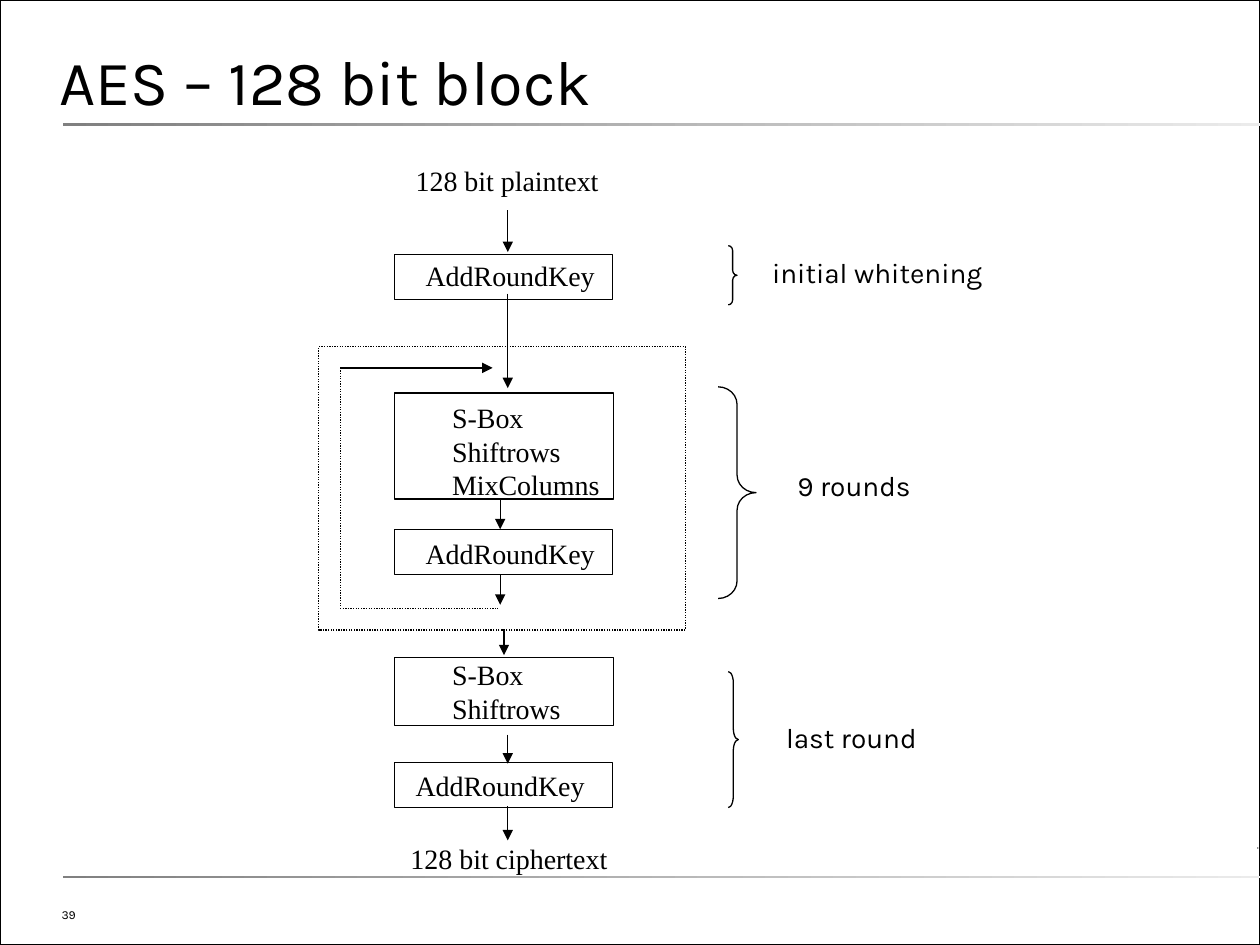
from pptx import Presentation
from pptx import util as u
from pptx.dml.color import RGBColor
from pptx.enum import dml, shapes, text
from pptx.oxml import parse_xml
from pptx.oxml.ns import nsdecls, qn
from lxml import etree


class Theme:
    ink = RGBColor(0, 0, 0)
    gray = RGBColor(0x80, 0x80, 0x80)
    pale = RGBColor(0xEB, 0xEB, 0xEB)
    sans, serif = "Karla", "Times New Roman"
    title, body, small = 36, 16, 7
    thin, edge = 0.74, 0.99


def inch(*nums):
    return [u.Inches(n) for n in nums]


# Basic parts
def stroke(line, width=Theme.thin, dots=False):
    line.color.rgb = Theme.ink
    line.width = u.Pt(width)
    if dots:
        line.dash_style = dml.MSO_LINE.ROUND_DOT


def outline(slide, box, kind=shapes.MSO_SHAPE.RECTANGLE, width=Theme.thin, dots=False):
    part = slide.shapes.add_shape(kind, *inch(*box))
    part.shadow.inherit = False
    part.fill.background()
    stroke(part.line, width, dots)
    return part


def fade(slide, box):
    bar = outline(slide, box)
    bar.line.fill.background()
    bar.fill.gradient()
    bar.fill.gradient_angle = 0
    for stop, color in zip(bar.fill.gradient_stops, (Theme.gray, Theme.pale)):
        stop.color.rgb = color


def link(slide, start, end, arrow=True, dots=False):
    line = slide.shapes.add_connector(
        shapes.MSO_CONNECTOR.STRAIGHT, *inch(*start, *end))
    stroke(line.line, dots=dots)
    if arrow:
        line.line._get_or_add_ln().append(
            parse_xml('<a:tailEnd %s type="triangle"/>' % nsdecls("a")))
    etree.SubElement(line._element.spPr, qn("a:effectLst"))


def label(slide, box, lines, font=Theme.serif, size=Theme.body, wrap=False,
          anchor=text.MSO_ANCHOR.TOP, inset=(0.1, 0.05), pitch=None):
    frame = slide.shapes.add_textbox(*inch(*box)).text_frame
    frame.word_wrap = wrap
    frame.auto_size = (text.MSO_AUTO_SIZE.NONE if wrap
                       else text.MSO_AUTO_SIZE.SHAPE_TO_FIT_TEXT)
    frame.vertical_anchor = anchor
    frame.margin_left = frame.margin_right = u.Inches(inset[0])
    frame.margin_top = frame.margin_bottom = u.Inches(inset[1])
    for i, words in enumerate(lines):
        para = frame.add_paragraph() if i else frame.paragraphs[0]
        if pitch:
            para.line_spacing = u.Pt(pitch)
        run = para.add_run()
        run.text = words
        run.font.name, run.font.size = font, u.Pt(size)
        run.font.color.rgb = Theme.ink


# Page border, rules, title and number
def page(slide, box, title, number):
    x, y, w, h = box
    outline(slide, box, width=Theme.edge)
    fade(slide, (x + w - 0.02, y + 6.72, 0.01, 0.02))
    for top in (0.98, 6.95):
        fade(slide, (x + 0.5, y + top, w - 0.47, 0.02))
    label(slide, (x + 0.39, y + 7.14, 3.49, 0.23), [number], Theme.sans,
          Theme.small, True, text.MSO_ANCHOR.BOTTOM)
    label(slide, (x + 0.47, y + 0.34, 9.03, 0.83), [title], Theme.sans,
          Theme.title, True, text.MSO_ANCHOR.MIDDLE, (0, 0), 26)


# One cipher step: a frame with its text at an offset
def step(slide, box, lines, dx, dy, wide):
    x, y = box[:2]
    outline(slide, box)
    label(slide, (x + dx, y + dy, wide, 0.1 + 0.27 * len(lines)), lines)


# Column of steps with plaintext above and ciphertext below
def flow(slide, box):
    x, y, w, h = box
    label(slide, (x + 0.07, y, 1.65, 0.37), ["128 bit plaintext"])
    label(slide, (x + 0.03, y + h - 0.37, 1.8, 0.37), ["128 bit ciphertext"])
    key = ["AddRoundKey"]
    sub = ["S-Box", "Shiftrows"]
    steps = [
        (0.77, w - 0.01, 0.36, key, 0.15, -0.02, 1.54),
        (1.87, w, 0.84, sub + ["MixColumns"], 0.36, 0.01, 1.37),
        (2.95, w - 0.01, 0.36, key, 0.15, 0.01, 1.54),
        (3.97, w, 0.54, sub, 0.36, -0.05, 1.06),
        (4.8, w - 0.01, 0.36, key, 0.07, 0, 1.54),
    ]
    for top, wide, tall, *rest in steps:
        step(slide, (x, y + top, wide, tall), *rest)
    arrows = [(0.9, 0.42, 0.75), (0.9, 1.08, 1.83), (0.84, 2.71, 2.95),
              (0.84, 3.31, 3.55), (0.87, 3.75, 3.95), (0.9, 4.58, 4.81),
              (0.9, 5.15, 5.42)]
    for dx, top, low in arrows:
        link(slide, (x + dx, y + top), (x + dx, y + low))


# Dotted frame with the path back to the start of a round
def loop(slide, box):
    x, y, w, h = box
    outline(slide, box, dots=True)
    left, top, low = x + 0.17, y + 0.17, y + h - 0.17
    link(slide, (left, top), (x + 1.38, top))
    link(slide, (left, top), (left, low), False, True)
    link(slide, (left, low), (x + 1.42, low), False, True)


# Brace with its note
def note(slide, box, words, dx, dy, wide):
    x, y, w, h = box
    brace = outline(slide, box, shapes.MSO_SHAPE.RIGHT_BRACE)
    brace.adjustments[0] = h / 12 / w
    label(slide, (x + dx, y + dy, wide, 0.37), [words], Theme.sans)


def main():
    deck = Presentation()
    deck.slide_width, deck.slide_height = inch(10, 7.5)
    slide = deck.slides.add_slide(deck.slide_layouts[6])
    page(slide, (0, 0, 10, 7.5), "AES – 128 bit block", "39")
    flow(slide, (3.13, 1.25, 1.74, 5.75))
    loop(slide, (2.53, 2.75, 2.91, 2.25))
    for item in [
        ((5.78, 1.95, 0.07, 0.47), "initial whitening", 0.25, 0.03, 1.87),
        ((5.7, 3.07, 0.3, 1.68), "9 rounds", 0.53, 0.6, 1.12),
        ((5.78, 5.33, 0.08, 1.08), "last round", 0.36, 0.34, 1.26),
    ]:
        note(slide, *item)
    deck.save("out.pptx")


main()
